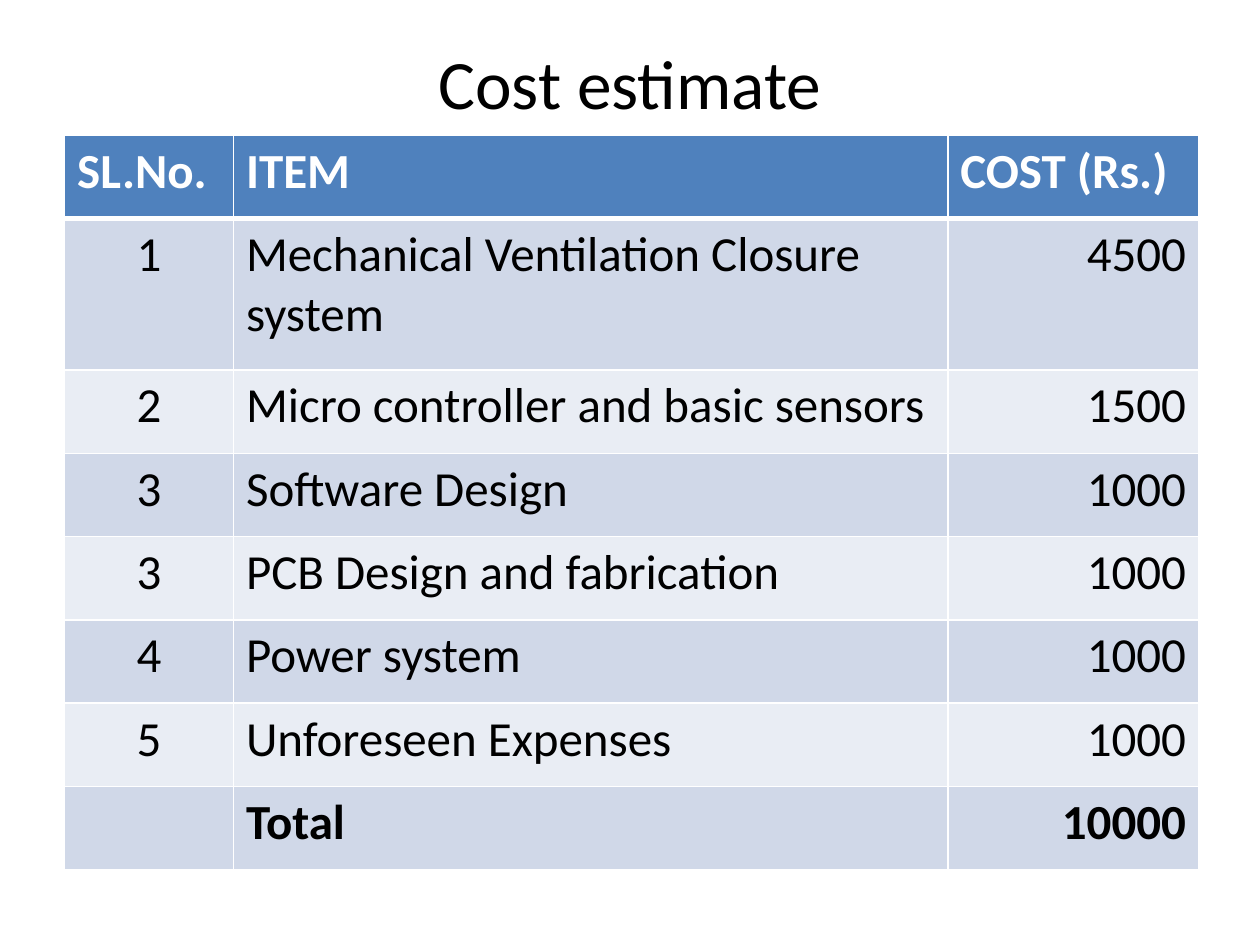
from dataclasses import dataclass

from lxml.etree import SubElement
from pptx import Presentation
from pptx.dml.color import RGBColor
from pptx.enum.text import MSO_ANCHOR, PP_ALIGN
from pptx.oxml.ns import qn
from pptx.util import Pt


@dataclass(frozen=True)
class Theme:
    font: str = "Calibri"
    title_size: float = 39.6
    table_size: float = 28
    ink: str = "000000"
    white: str = "FFFFFF"
    header: str = "4F81BD"
    bands: tuple = ("D0D8E8", "E9EDF4")
    rule: float = 1
    header_rule: float = 3


class SlideBuilder:
    def __init__(self, slide, theme):
        self.slide = slide
        self.theme = theme

    def add_text(self, frame, text, align, size, color, bold=False):
        para = frame.paragraphs[0]
        para.alignment = align
        span = para.add_run()
        span.text = text
        styles = {"name": self.theme.font, "size": Pt(size), "bold": bold}
        for name, value in styles.items():
            setattr(span.font, name, value)
        span.font.color.rgb = RGBColor.from_string(color)

    def title(self, text, left, top, width, height):
        box = self.slide.shapes.add_textbox(Pt(left), Pt(top), Pt(width), Pt(height))
        frame = box.text_frame
        settings = {"word_wrap": True, "vertical_anchor": MSO_ANCHOR.MIDDLE}
        for name, value in settings.items():
            setattr(frame, name, value)
        self.add_text(frame, text, PP_ALIGN.CENTER, self.theme.title_size, self.theme.ink)

    def borders(self, cell, widths):
        properties = cell._tc.get_or_add_tcPr()
        for side, width in widths.items():
            line = SubElement(properties, qn(f"a:ln{side}"), w=str(Pt(width)))
            fill = SubElement(line, qn("a:solidFill"))
            SubElement(fill, qn("a:srgbClr"), val=self.theme.white)

    def table(self, rows, left, top, widths, heights, aligns):
        theme = self.theme
        table = self.slide.shapes.add_table(
            len(rows), len(widths), Pt(left), Pt(top), Pt(sum(widths)), Pt(sum(heights))
        ).table
        for column, width in zip(table.columns, widths):
            column.width = Pt(width)
        for r, (values, height) in enumerate(zip(rows, heights)):
            table.rows[r].height = Pt(height)
            is_header = r == 0
            fill = theme.header if is_header else theme.bands[(r - 1) % 2]
            color = theme.white if is_header else theme.ink
            bold = is_header or r == len(rows) - 1
            # The rule between header and body is heavier
            edges = dict.fromkeys("LRTB", theme.rule)
            if r < 2:
                edges["B" if is_header else "T"] = theme.header_rule
            for c, text in enumerate(values):
                cell = table.cell(r, c)
                self.borders(cell, edges)
                cell.fill.solid()
                cell.fill.fore_color.rgb = RGBColor.from_string(fill)
                if text:
                    align = PP_ALIGN.LEFT if is_header else aligns[c]
                    self.add_text(cell.text_frame, text, align, theme.table_size, color, bold)


COSTS = [
    ("SL.No.", "ITEM", "COST (Rs.)"),
    ("1", "Mechanical Ventilation Closure system", "4500"),
    ("2", "Micro controller and basic sensors", "1500"),
    ("3", "Software Design", "1000"),
    ("3", "PCB Design and fabrication", "1000"),
    ("4", "Power system", "1000"),
    ("5", "Unforeseen Expenses", "1000"),
    ("", "Total", "10000"),
]


def main():
    deck = Presentation()
    deck.slide_width, deck.slide_height = Pt(720), Pt(540)
    builder = SlideBuilder(deck.slides.add_slide(deck.slide_layouts[6]), Theme())

    # Heading
    builder.title("Cost estimate", 36, 21.6, 648, 49.7)

    # Cost table: the first item takes two lines
    heights = [47.6] * len(COSTS)
    heights[1] = 86.4
    builder.table(
        COSTS, 36.9, 77.4, (96.5, 408.2, 143.3), heights,
        (PP_ALIGN.CENTER, PP_ALIGN.LEFT, PP_ALIGN.RIGHT),
    )

    deck.save("out.pptx")


if __name__ == "__main__":
    main()
